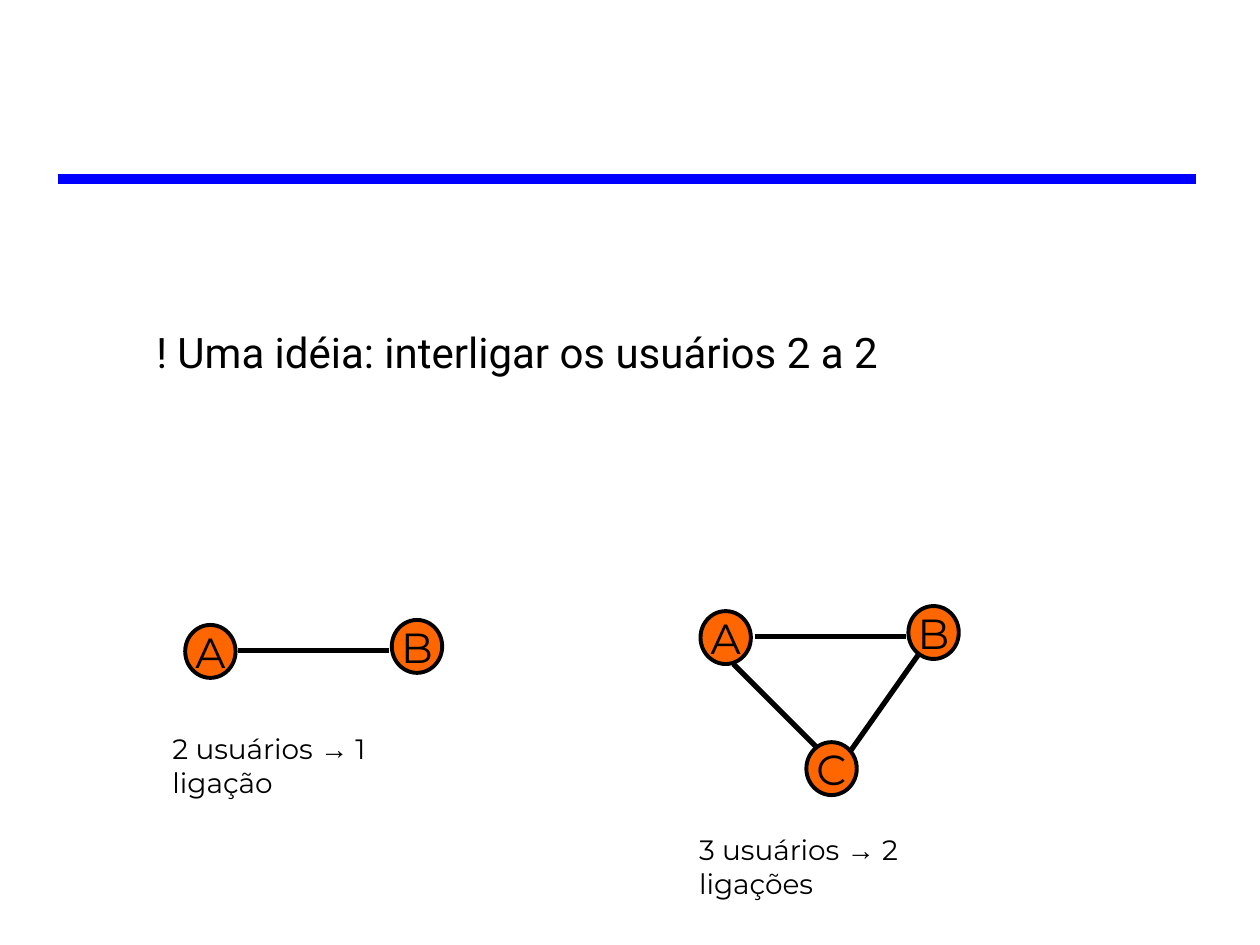
from pptx import Presentation
from pptx.dml.color import RGBColor
from pptx.enum.shapes import MSO_CONNECTOR as Connector, MSO_SHAPE as Shape
from pptx.enum.text import MSO_ANCHOR as Anchor, MSO_AUTO_SIZE as AutoSize, PP_ALIGN as Align
from pptx.oxml.ns import qn
from pptx.util import Inches, Pt
from lxml import etree

COLORS = {"rule": "0000FF", "node": "FF6600", "ink": "000000"}
NODE_WIDTH, NODE_HEIGHT = 0.4, 0.42

deck = Presentation()
deck.slide_width, deck.slide_height = Inches(10), Inches(7.5)
page = deck.slides.add_slide(deck.slide_layouts[5])


def add_line(start, end, color, width):
    line = page.shapes.add_connector(
        Connector.STRAIGHT, *[Inches(value) for value in (*start, *end)])
    line.line.color.rgb = RGBColor.from_string(COLORS[color])
    line.line.width = Pt(width)
    etree.SubElement(line._element.spPr, qn("a:effectLst"))


def add_span(paragraph, text, font, size):
    span = paragraph.add_run()
    span.text = text
    for name, value in {"name": font, "size": Pt(size), "bold": False}.items():
        setattr(span.font, name, value)
    span.font.color.rgb = RGBColor.from_string(COLORS["ink"])


add_line((0.46, 1.42), (9.49, 1.42), "rule", 6)

title = page.shapes.title
title_place = {"left": 1.14, "top": 2.59, "width": 6.89, "height": 0.46}
for name, value in title_place.items():
    setattr(title, name, Inches(value))
frame_format = {"word_wrap": True, "auto_size": AutoSize.NONE, "vertical_anchor": Anchor.TOP}
for name, value in frame_format.items():
    setattr(title.text_frame, name, value)
paragraph = title.text_frame.paragraphs[0]
paragraph_format = {"alignment": Align.LEFT, "line_spacing": 0.9, "space_before": Pt(0)}
for name, value in paragraph_format.items():
    setattr(paragraph, name, value)
add_span(paragraph, "! Uma idéia: interligar os usuários 2 a 2", "Roboto", 24)

links = [
    ((1.89, 5.16), (3.09, 5.16)),
    ((5.99, 5.05), (7.19, 5.05)),
    ((5.82, 5.27), (6.48, 5.93)),
    ((6.75, 5.96), (7.3, 5.18)),
]
for start, end in links:
    add_line(start, end, "ink", 3)

nodes = [
    ("A", 1.47, 4.96), ("B", 3.11, 4.92),
    ("A", 5.56, 4.85), ("B", 7.21, 4.81), ("C", 6.4, 5.89),
]
for letter, left, top in nodes:
    node = page.shapes.add_shape(
        Shape.OVAL, Inches(left), Inches(top), Inches(NODE_WIDTH), Inches(NODE_HEIGHT))
    node.shadow.inherit = False
    node.fill.solid()
    node.fill.fore_color.rgb = RGBColor.from_string(COLORS["node"])
    node.line.color.rgb = RGBColor.from_string(COLORS["ink"])
    node.line.width = Pt(2.25)
    node.text_frame.word_wrap = False
    node.text_frame.vertical_anchor = Anchor.MIDDLE
    paragraph = node.text_frame.paragraphs[0]
    paragraph.alignment = Align.CENTER
    add_span(paragraph, letter, "Montserrat", 24)

captions = [
    (1.27, 5.76, 2.5, "2 usuários ", " 1 ligação"),
    (5.45, 6.56, 2.6, "3 usuários ", " 2 ligações"),
]
for left, top, width, users, connections in captions:
    box = page.shapes.add_textbox(Inches(left), Inches(top), Inches(width), Inches(0.37))
    box.text_frame.word_wrap = True
    paragraph = box.text_frame.paragraphs[0]
    for text, font in ((users, "Montserrat"), ("→", "Arial"), (connections, "Montserrat")):
        add_span(paragraph, text, font, 16)

deck.save("out.pptx")
